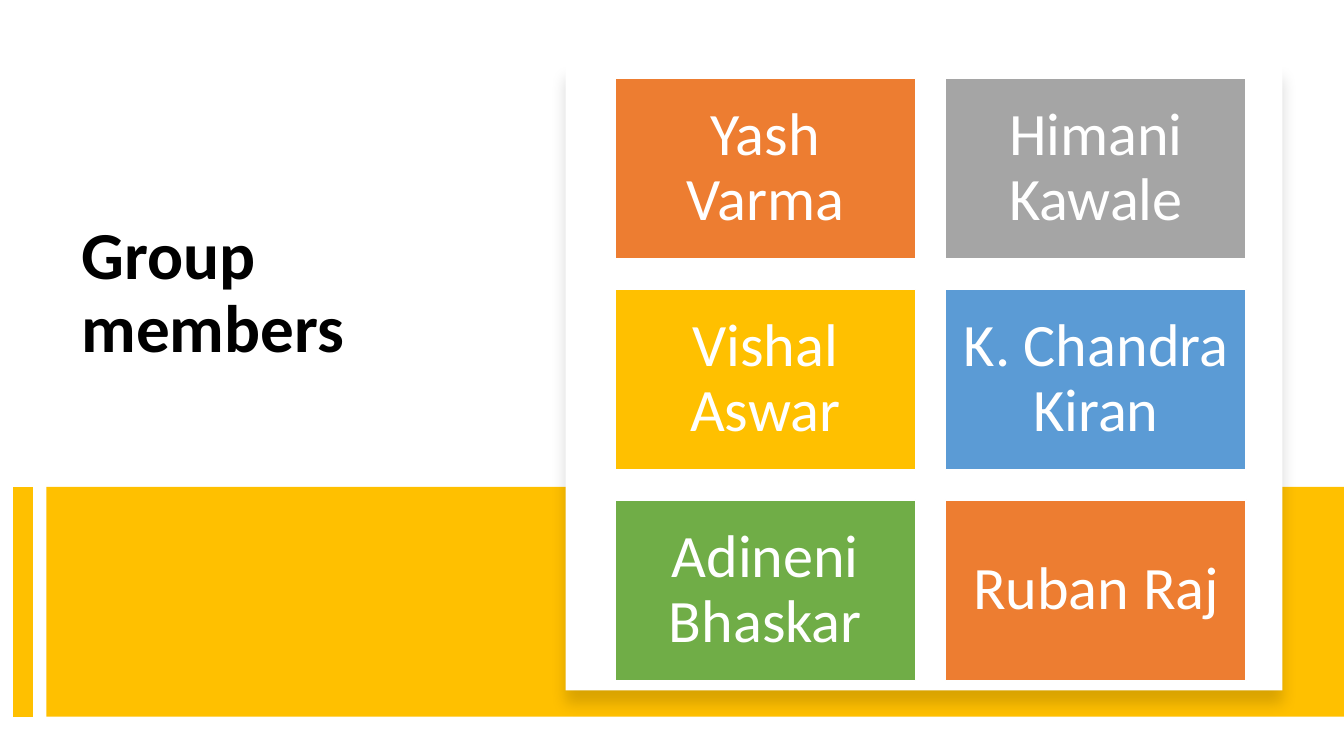
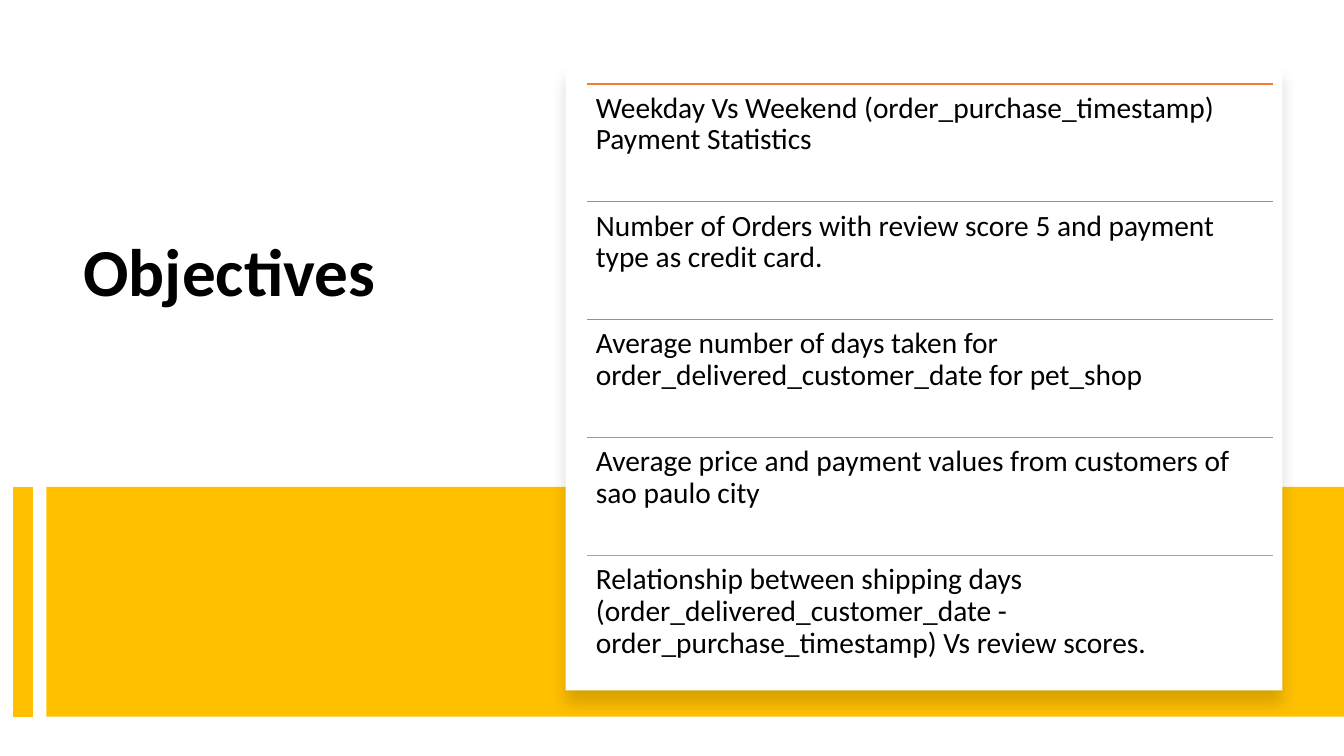
from lxml import etree
from pptx import Presentation
from pptx.dml.color import RGBColor
from pptx.enum import shapes, text
from pptx.oxml.ns import qn
from pptx.util import Inches, Pt

FONT = "Calibri"
GOLD, WHITE, BLACK = "FFC000", "FFFFFF", "000000"

MEMBERS = [
    ("Yash Varma", "ED7D31"),
    ("Himani Kawale", "A5A5A5"),
    ("Vishal Aswar", GOLD),
    ("K. Chandra Kiran", "5B9BD5"),
    ("Adineni Bhaskar", "70AD47"),
    ("Ruban Raj", "ED7D31"),
]
GOALS = [
    ("Weekday Vs Weekend (order_purchase_timestamp) Payment Statistics", "ED7D31"),
    ("Number of Orders with review score 5 and payment type as credit card.", "D87A51"),
    ("Average number of days taken for order_delivered_customer_date for pet_shop",
     "C48170"),
    ("Average price and payment values from customers of sao paulo city", "B4908B"),
    ("Relationship between shipping days (order_delivered_customer_date - "
     "order_purchase_timestamp) Vs review scores.", "A5A5A5"),
]


def rgb(code):
    return RGBColor.from_string(code)


def box(slide, area, fill, line=None):
    rect = slide.shapes.add_shape(
        shapes.MSO_SHAPE.RECTANGLE, *map(Inches, area))
    rect.shadow.inherit = False
    rect.fill.solid()
    rect.fill.fore_color.rgb = rgb(fill)
    if line:
        rect.line.color.rgb = rgb(line)
        rect.line.width = Pt(1)
    else:
        rect.line.fill.background()
    return rect


def rule(slide, start, end, color, width):
    line = slide.shapes.add_connector(
        shapes.MSO_CONNECTOR.STRAIGHT, *map(Inches, start + end))
    line.line.color.rgb = rgb(color)
    line.line.width = Pt(width)
    etree.SubElement(line._element.spPr, qn("a:effectLst"))


def write(shape, words, size, color, inset, bold=False, center=False):
    """Fill a shape with one paragraph; inset is (sides, top and bottom)."""
    frame = shape.text_frame
    frame.word_wrap = True
    side, end = map(Inches, inset)
    frame.margin_left = frame.margin_right = side
    frame.margin_top = frame.margin_bottom = end
    frame.vertical_anchor = (
        text.MSO_ANCHOR.MIDDLE if center else text.MSO_ANCHOR.TOP)
    para = frame.paragraphs[0]
    para.text = words
    para.alignment = text.PP_ALIGN.CENTER if center else text.PP_ALIGN.LEFT
    para.line_spacing = 0.9
    para.font.name = FONT
    para.font.size = Pt(size)
    para.font.bold = bold
    para.font.color.rgb = rgb(color)


def label(slide, area, words, size, inset, bold=False):
    write(slide.shapes.add_textbox(*map(Inches, area)),
          words, size, BLACK, inset, bold)


def shade(shape):
    """Add a soft shadow that falls straight down."""
    effects = shape._element.spPr.find(qn("a:effectLst"))
    outer = etree.SubElement(
        effects, qn("a:outerShdw"), blurRad=str(Pt(11)), dist=str(Pt(10)),
        dir="5400000", algn="t", rotWithShape="0")
    color = etree.SubElement(outer, qn("a:srgbClr"), val=BLACK)
    etree.SubElement(color, qn("a:alpha"), val="15000")


def base(deck, title, area):
    """Add a slide with its title, gold band and white card."""
    slide = deck.slides.add_slide(deck.slide_layouts[6])
    label(slide, area, title, 48, (0.1, 0.05), bold=True)
    box(slide, (0.46, 4.83, 12.87, 2.28), GOLD)
    rule(slide, (0.23, 4.83), (0.23, 7.11), GOLD, 14)
    shade(box(slide, (5.61, 0.64, 7.11, 6.21), WHITE))
    return slide


def members(deck):
    slide = base(deck, "Group members", (0.71, 2.15, 4.15, 1.75))
    wide, high, gap = 2.98, 1.79, 0.3
    for i, (name, fill) in enumerate(MEMBERS):
        row, col = divmod(i, 2)
        area = (6.1 + col * (wide + gap), 0.78 + row * (high + gap), wide, high)
        write(box(slide, area, fill, WHITE), name, 43, WHITE, (0.12, 0.18),
              center=True)


def goals(deck):
    slide = base(deck, "Objectives", (0.73, 2.32, 4.15, 1.43))
    left, wide, high = 5.82, 6.81, 1.17
    for i, (goal, color) in enumerate(GOALS):
        top = 0.83 + i * high
        rule(slide, (left, top), (left + wide, top), color, 1.25)
        label(slide, (left, top, wide, high), goal, 21, (0.09, 0.09))


def main():
    deck = Presentation()
    deck.slide_width, deck.slide_height = Inches(13.33), Inches(7.5)
    members(deck)
    goals(deck)
    deck.save("out.pptx")


if __name__ == "__main__":
    main()
